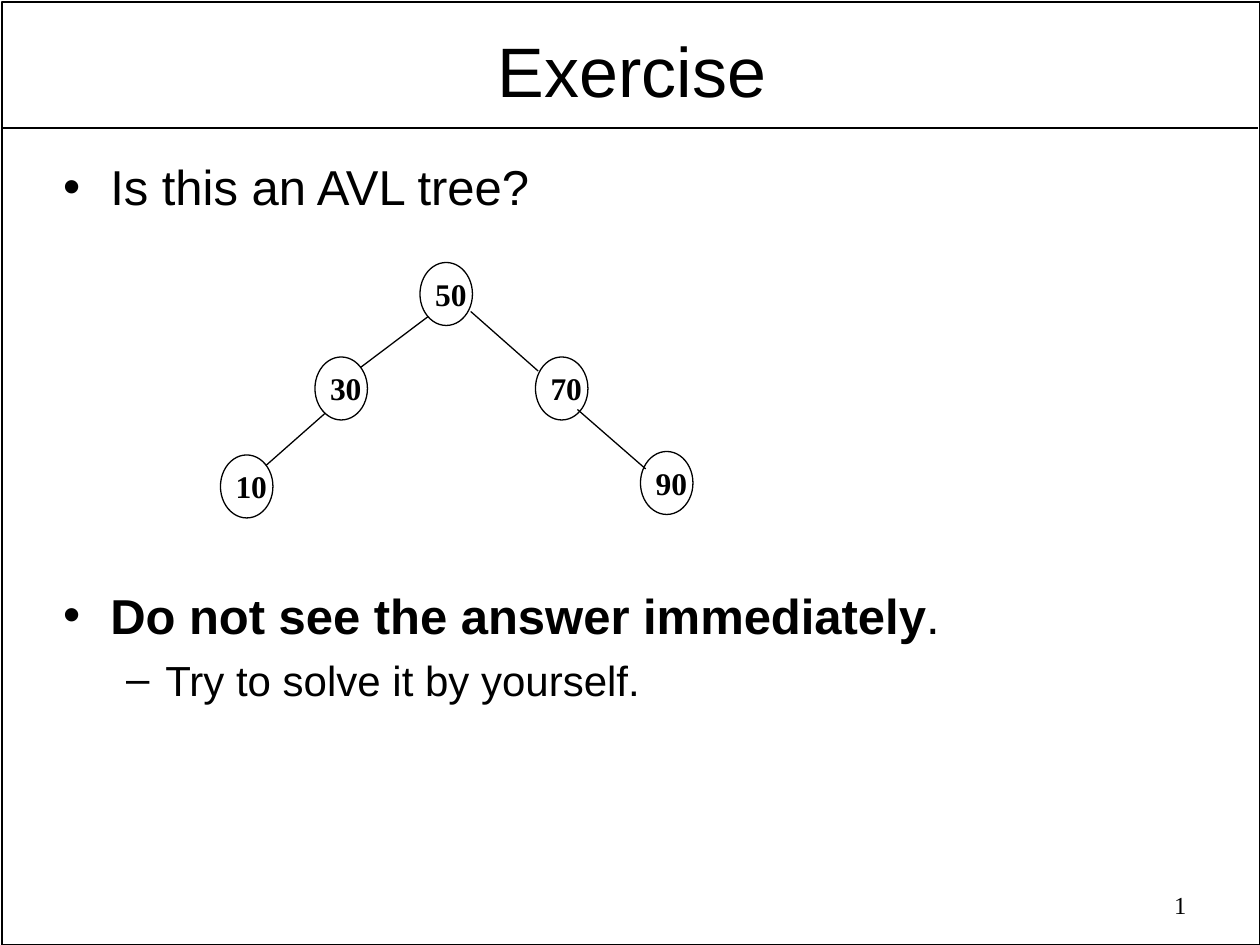
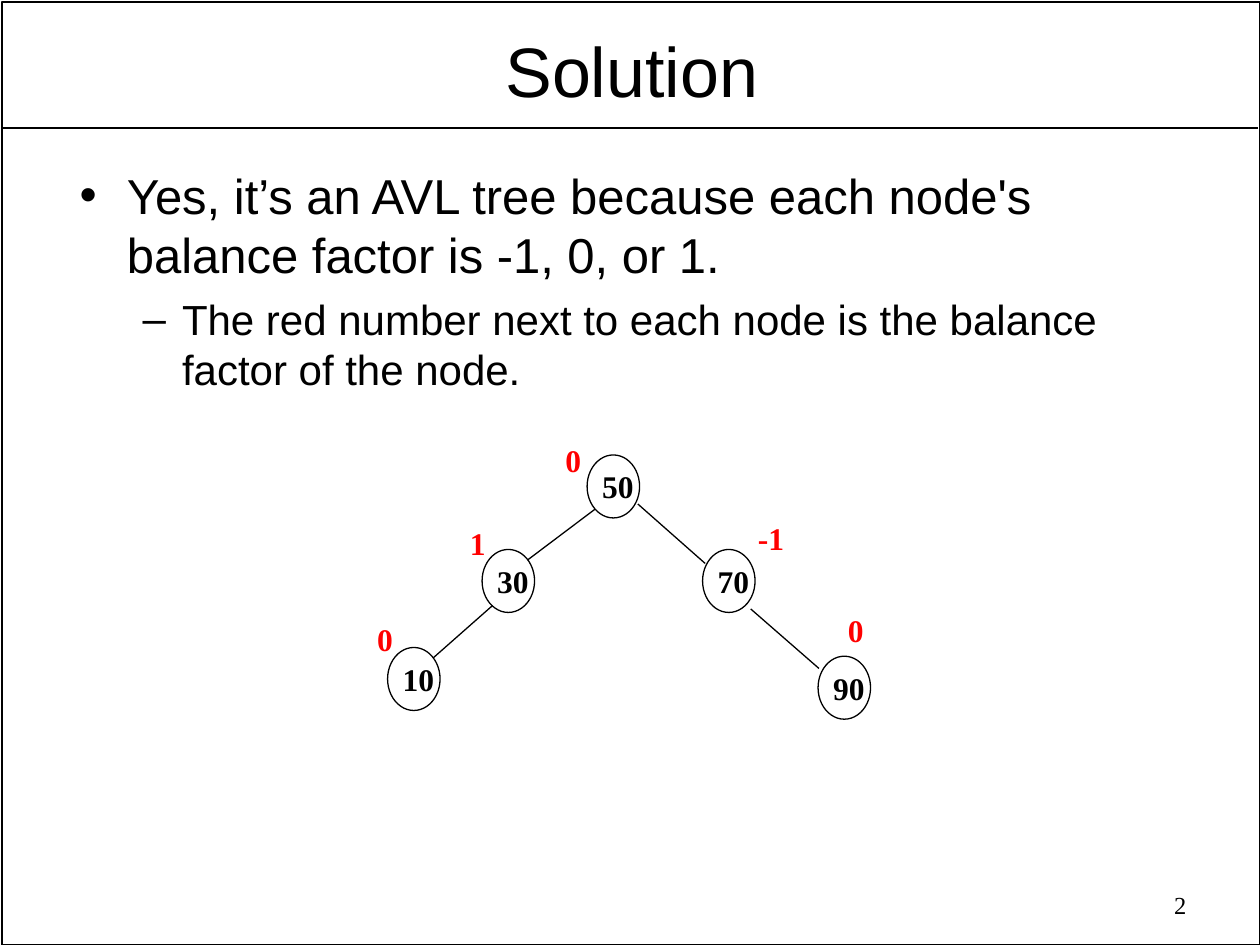
"""Build two slides on checking whether a tree is an AVL tree."""
from dataclasses import dataclass

from lxml.etree import SubElement
from pptx import Presentation
from pptx.dml.color import RGBColor
from pptx.enum.shapes import MSO_CONNECTOR as CONNECTOR, MSO_SHAPE as SHAPE
from pptx.enum.text import MSO_ANCHOR as ANCHOR, MSO_AUTO_SIZE as AUTO, PP_ALIGN as ALIGN
from pptx.oxml.ns import qn
from pptx.util import Pt


@dataclass(frozen=True)
class Theme:
    black: RGBColor = RGBColor(0, 0, 0)
    red: RGBColor = RGBColor(255, 0, 0)
    sans: str = "Arial"
    serif: str = "Times New Roman"
    title: int = 40
    levels: tuple = (28, 24)
    line_heights: tuple = (33.7, 28.6)
    gaps: tuple = (7, 6)
    node: int = 18
    number: int = 14
    frame_line: float = 1
    tree_line: float = 0.75


THEME = Theme()
WIDTH, HEIGHT, BAND = 720, 540, 73
NODE_W, NODE_H = 30, 36

# Node, edge and factor places are measured from the root's top left corner.
UPPER_NODES = {"50": (0, 0), "30": (-60, 54), "70": (66, 54), "10": (-114, 110)}
UPPER_EDGES = [
    ((4.5, 31), (-34, 60)),
    ((-54, 86), (-88, 116)),
    ((29, 28), (67.5, 62)),
]

SLIDES = [
    {
        "title": "Exercise",
        "body_box": (30, 89.5, 660, 395),
        "body": [
            (0, [("Is this an AVL tree?", False)], None),
            (0, [("Do not see the answer immediately", True), (".", False)], 211),
            (1, [("Try to solve it by yourself.", False)], None),
        ],
        "root": (240, 150),
        "outer_node": (126, 108),
        "outer_edge": ((90, 84), (129, 118)),
        "factors": [],
    },
    {
        "title": "Solution",
        "body_box": (39.5, 94.5, 660, 146),
        "body": [
            (0, [("Yes, it’s an AVL tree because each node's balance factor is -1, 0, or 1.",
                  False)], None),
            (1, [("The red number next to each node is the balance factor of the node.",
                  False)], None),
        ],
        "root": (335.5, 260),
        "outer_node": (132, 115),
        "outer_edge": ((93.5, 88), (132.5, 122)),
        "factors": [
            ("0", (-127, 91)),
            ("1", (-74, 36)),
            ("0", (-19.5, -11.5)),
            ("-1", (90.5, 33)),
            ("0", (142, 85.5)),
        ],
    },
]


def place(sp, left, top, width, height):
    sp.left, sp.top, sp.width, sp.height = map(Pt, (left, top, width, height))


def style(r, font, size, color=THEME.black, bold=False):
    r.font.name, r.font.size, r.font.bold = font, Pt(size), bold
    r.font.color.rgb = color


def add_outline(slide, kind, box, weight):
    sp = slide.shapes.add_shape(kind, *map(Pt, box))
    sp.shadow.inherit = False
    sp.fill.background()
    sp.line.color.rgb = THEME.black
    sp.line.width = Pt(weight)


def add_line(slide, start, end, weight):
    line = slide.shapes.add_connector(CONNECTOR.STRAIGHT, *map(Pt, (*start, *end)))
    line.line.color.rgb = THEME.black
    line.line.width = Pt(weight)
    SubElement(line._element.spPr, qn("a:effectLst"))


def add_label(slide, text, box, size, color=THEME.black, bold=True, align=ALIGN.LEFT):
    tf = slide.shapes.add_textbox(*map(Pt, box)).text_frame
    tf.word_wrap = align == ALIGN.RIGHT
    tf.text = text
    p = tf.paragraphs[0]
    p.alignment = align
    style(p.runs[0], THEME.serif, size, color, bold)


def add_frame(slide, title, number):
    add_outline(slide, SHAPE.RECTANGLE, (1, 1, WIDTH - 1, HEIGHT - 1), THEME.frame_line)
    add_line(slide, (1, BAND), (WIDTH - 1, BAND), THEME.frame_line)
    sp = slide.shapes.title
    place(sp, 38, 13.5, 646, 52)
    tf = sp.text_frame
    tf.text = title
    tf.auto_size = AUTO.NONE
    tf.vertical_anchor = ANCHOR.MIDDLE
    tf.paragraphs[0].alignment = ALIGN.CENTER
    style(tf.paragraphs[0].runs[0], THEME.sans, THEME.title)
    add_label(slide, str(number), (517, 505, 168, 26), THEME.number,
              bold=False, align=ALIGN.RIGHT)


def fill_body(slide, box, items):
    sp = slide.placeholders[1]
    place(sp, *box)
    tf = sp.text_frame
    tf.auto_size = AUTO.NONE
    tf.margin_left, tf.margin_top, tf.margin_right = Pt(6), 0, Pt(12)
    for i, (level, runs, gap) in enumerate(items):
        p = tf.add_paragraph() if i else tf.paragraphs[0]
        p.level = level
        p.line_spacing = Pt(THEME.line_heights[level])
        p.space_before = Pt(gap or THEME.gaps[level])
        for text, bold in runs:
            r = p.add_run()
            r.text = text
            style(r, THEME.sans, THEME.levels[level], bold=bold)


def add_tree(slide, root, outer_node, outer_edge, factors):
    def at(offset):
        return root[0] + offset[0], root[1] + offset[1]

    for key, offset in {**UPPER_NODES, "90": outer_node}.items():
        x, y = at(offset)
        add_label(slide, key, (x + 1.5, y + 3.5, 32.4, 29), THEME.node)
        add_outline(slide, SHAPE.OVAL, (x, y, NODE_W, NODE_H), THEME.tree_line)
    for start, end in [*UPPER_EDGES, outer_edge]:
        add_line(slide, at(start), at(end), THEME.tree_line)
    for factor, offset in factors:
        width = 23.4 if len(factor) == 1 else 29.4
        add_label(slide, factor, (*at(offset), width, 29), THEME.node, THEME.red)


def main():
    prs = Presentation()
    prs.slide_width, prs.slide_height = Pt(WIDTH), Pt(HEIGHT)
    for number, page in enumerate(SLIDES, 1):
        slide = prs.slides.add_slide(prs.slide_layouts[1])
        add_frame(slide, page["title"], number)
        fill_body(slide, page["body_box"], page["body"])
        add_tree(slide, page["root"], page["outer_node"], page["outer_edge"],
                 page["factors"])
    prs.save("out.pptx")


if __name__ == "__main__":
    main()
